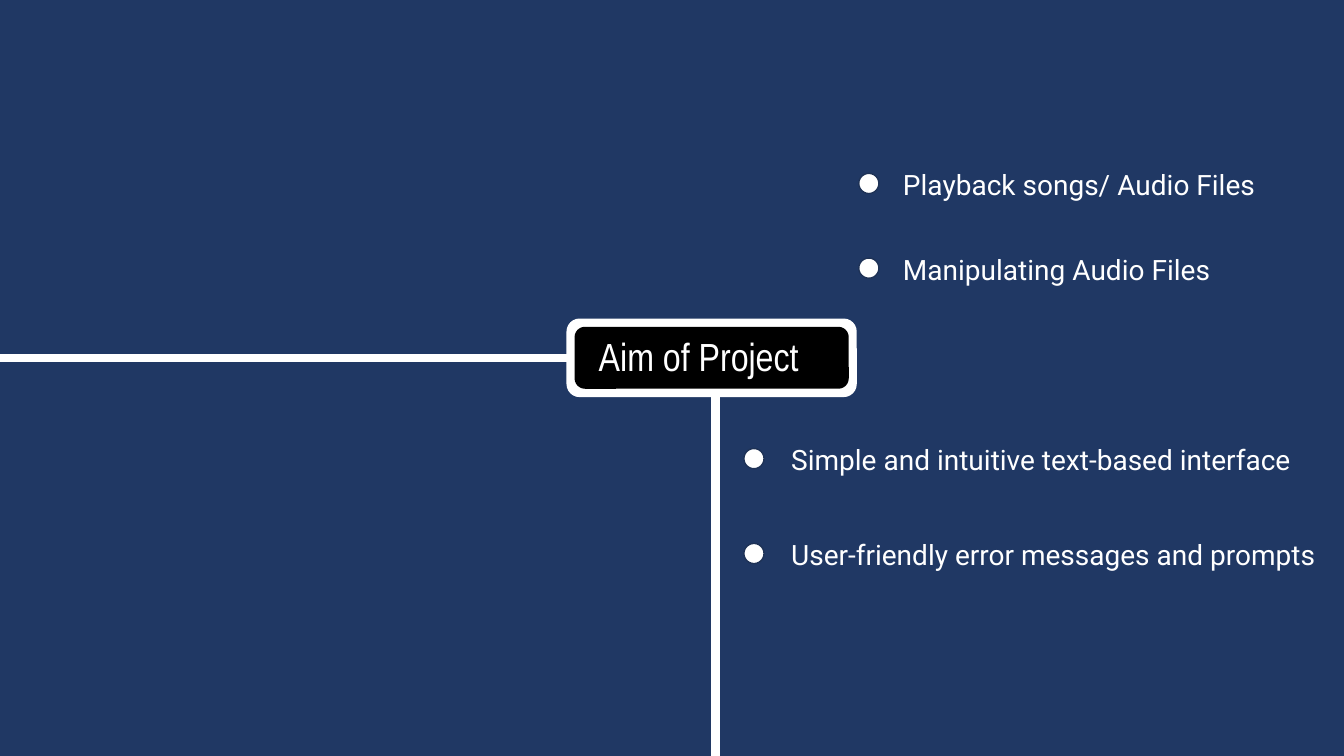
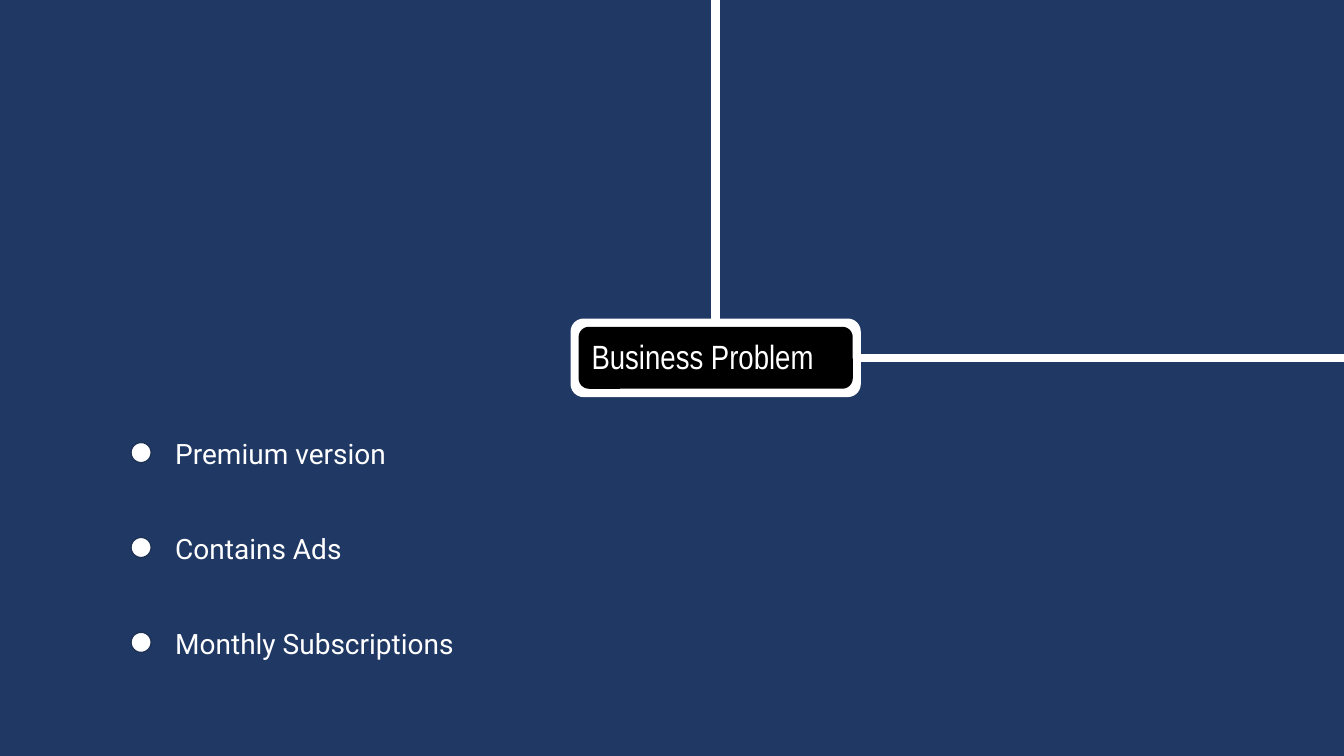
"""Build two linked project slides on a grid of slide percentages."""
from lxml import etree
from pptx import Presentation
from pptx import util as u
from pptx.dml.color import RGBColor
from pptx.enum import shapes, text
from pptx.oxml.ns import qn

NAVY = RGBColor(0x20, 0x38, 0x64)
DOT_EDGE = RGBColor(0x1E, 0x32, 0x56)
WHITE = RGBColor(0xFF, 0xFF, 0xFF)
BLACK = RGBColor(0x00, 0x00, 0x00)
TITLE_FONT, BODY_FONT = "Arial Narrow", "Roboto"
WIDTH, HEIGHT = u.Inches(13.333), u.Inches(7.5)

AXIS_X, AXIS_Y = 53.25, 47.33
LABEL_Y, LABEL_W, LABEL_H = 42.13, 21.6, 10.4
FRAME_X, FRAME_Y = 0.6, 1.1
DOT_W, DOT_H = 1.5, 2.67
ITEM_RISE, ITEM_H = 1.4, 5.87


def grid(x, y, *size):
    """Turn percentages of the slide into lengths, across and down in turn."""
    return [int(side * share / 100)
            for side, share in zip((WIDTH, HEIGHT) * 2, (x, y, *size))]


def add_line(s, x1, y1, x2, y2):
    """Draw a thick white line between two grid points."""
    cx = s.shapes.add_connector(shapes.MSO_CONNECTOR.STRAIGHT, *grid(x1, y1, x2, y2))
    cx.line.color.rgb = WHITE
    cx.line.width = u.Pt(6)
    etree.SubElement(cx._element.spPr, qn("a:effectLst"))


def add_block(s, kind, box, fill, edge=None):
    """Add a filled preset shape, with a thin outline if a colour is given."""
    sp = s.shapes.add_shape(kind, *grid(*box))
    sp.shadow.inherit = False
    sp.fill.solid()
    sp.fill.fore_color.rgb = fill
    if edge is None:
        sp.line.fill.background()
    else:
        sp.line.color.rgb = edge
        sp.line.width = u.Pt(1)
    return sp


def write(tf, words, font, size):
    """Fill a text frame with one white, left-aligned paragraph."""
    tf.word_wrap = True
    p = tf.paragraphs[0]
    p.text = words
    p.alignment = text.PP_ALIGN.LEFT
    p.font.name = font
    p.font.size = u.Pt(size)
    p.font.color.rgb = WHITE


def add_label(s, x, title, size, indent):
    """Add the black title plate in its white frame."""
    kind = shapes.MSO_SHAPE.ROUNDED_RECTANGLE
    add_block(s, kind, (x, LABEL_Y, LABEL_W, LABEL_H), WHITE)
    plate = (x + FRAME_X, LABEL_Y + FRAME_Y,
             LABEL_W - 2 * FRAME_X, LABEL_H - 2 * FRAME_Y)
    tf = add_block(s, kind, plate, BLACK).text_frame
    tf.margin_left, tf.margin_right = u.Inches(indent), 0
    tf.margin_top, tf.margin_bottom = 0, u.Inches(0.04)
    tf.vertical_anchor = text.MSO_ANCHOR.MIDDLE
    write(tf, title, TITLE_FONT, size)


def add_items(s, x, y, items, step=12.55, gap=2.55):
    """Add evenly spaced lines of text, each beside a round dot."""
    for row, words in enumerate(items):
        top = y + row * step
        add_block(s, shapes.MSO_SHAPE.OVAL, (x, top, DOT_W, DOT_H), WHITE, DOT_EDGE)
        left = x + gap
        box = grid(left, top - ITEM_RISE, 100 - left, ITEM_H)
        write(s.shapes.add_textbox(*box).text_frame, words, BODY_FONT, 20)


def add_aim(s):
    """Compose the project aim slide."""
    add_line(s, 0, AXIS_Y, AXIS_X, AXIS_Y)
    add_line(s, AXIS_X, AXIS_Y, AXIS_X, 100)
    add_label(s, 42.15, "Aim of Project", 28, 0.21)
    add_items(s, 63.9, 22.93,
              ["Playback songs/ Audio Files", "Manipulating Audio Files"], step=11.2)
    add_items(s, 55.35, 59.33,
              ["Simple and intuitive text-based interface",
               "User-friendly error messages and prompts"], gap=2.78)


def add_problem(s):
    """Compose the business problem slide."""
    add_line(s, AXIS_X, AXIS_Y, 100, AXIS_Y)
    add_line(s, AXIS_X, 0, AXIS_X, AXIS_Y)
    add_label(s, 42.45, "Business Problem", 24, 0.1)
    add_items(s, 9.75, 58.53,
              ["Premium version", "Contains Ads", "Monthly Subscriptions"])


def main():
    """Create and save the presentation."""
    prs = Presentation()
    prs.slide_width, prs.slide_height = WIDTH, HEIGHT
    fill = prs.slide_master.background.fill
    fill.solid()
    fill.fore_color.rgb = NAVY
    for compose in (add_aim, add_problem):
        compose(prs.slides.add_slide(prs.slide_layouts[6]))
    prs.save("out.pptx")


if __name__ == "__main__":
    main()
